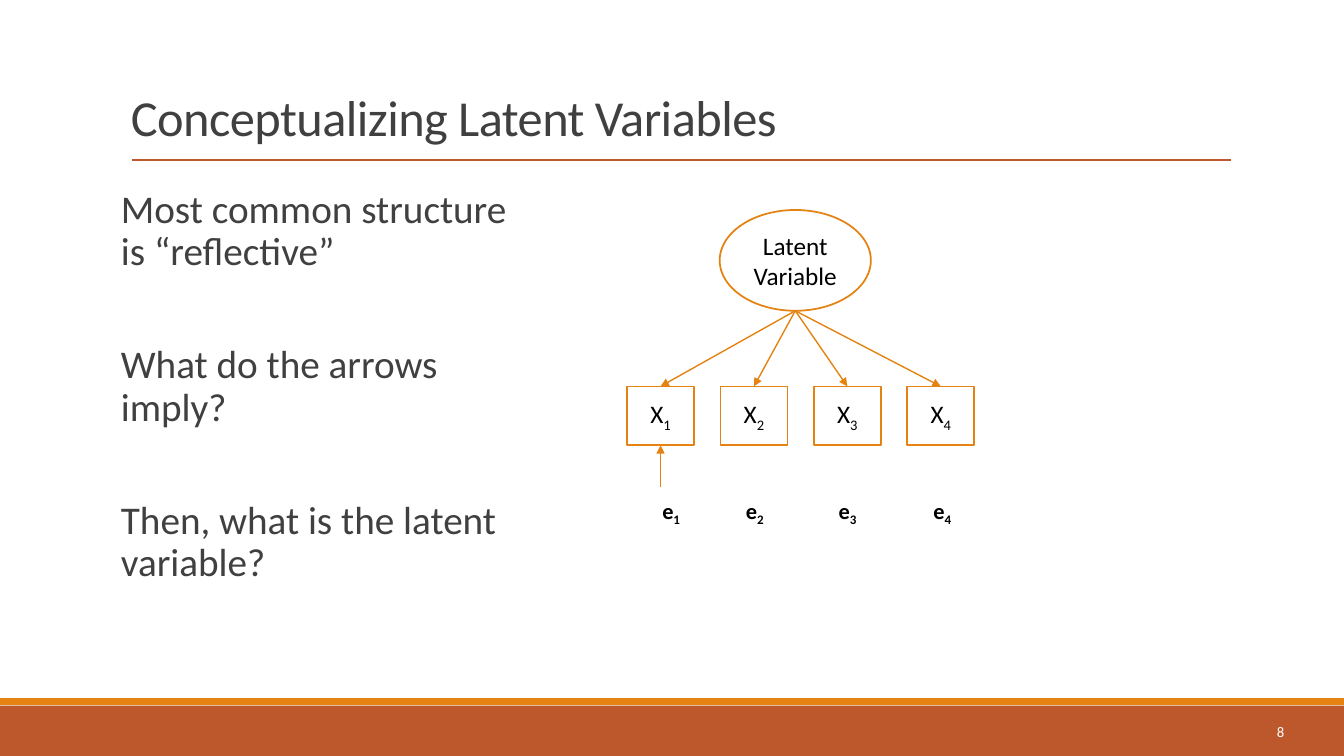
from dataclasses import dataclass

from lxml import etree
from pptx import Presentation
from pptx import util as u
from pptx.dml.color import RGBColor
from pptx.enum import shapes, text
from pptx.oxml.ns import qn

COLORS = {
    "rust": "BD582C",
    "orange": "E48312",
    "gray": "404040",
    "black": "000000",
    "white": "FFFFFF",
}
FONT = "Calibri"
CELL = u.Inches(1 / 12)
COLUMNS, ROWS = 160, 90
KIND = shapes.MSO_SHAPE
ALIGN = text.PP_ALIGN
ANCHOR = text.MSO_ANCHOR


@dataclass(frozen=True)
class Area:
    col: float
    row: float
    cols: float
    rows: float

    def emu(self) -> list[u.Emu]:
        return [cells(n) for n in (self.col, self.row, self.cols, self.rows)]


@dataclass(frozen=True)
class Node:
    label: str
    area: Area
    kind: shapes.MSO_SHAPE


def cells(count: float) -> u.Emu:
    return u.Emu(round(count * CELL))


def color(name: str) -> RGBColor:
    return RGBColor.from_string(COLORS[name])


def write(box, content: str, *, size: float, ink: str = "black", bold: bool = False,
          align=ALIGN.LEFT, anchor=ANCHOR.TOP, side_inset: float = 0.1,
          leading: float = 1, before: float = 0, after: float = 0,
          tracking: float = 0, stops: tuple[float, ...] = ()) -> None:
    frame = box.text_frame
    frame.word_wrap = True
    frame.vertical_anchor = anchor
    frame.margin_left = frame.margin_right = u.Inches(side_inset)
    for index, line in enumerate(content.split("\n")):
        para = frame.add_paragraph() if index else frame.paragraphs[0]
        if stops:
            tabs = etree.SubElement(para._p.get_or_add_pPr(), qn("a:tabLst"))
            for stop in stops:
                etree.SubElement(tabs, qn("a:tab"), pos=str(cells(stop)), algn="ctr")
        para.alignment = align
        para.line_spacing = leading
        para.space_before = u.Pt(before if index else 0)
        para.space_after = u.Pt(after)
        first, *rest = line.split("_")
        pieces = [(first, False)]
        for part in rest:
            pieces += [(part[0], True), (part[1:], False)]
        for piece, subscript in pieces:
            if not piece:
                continue
            span = para.add_run()
            span.text = piece
            span.font.name = FONT
            span.font.size = u.Pt(size)
            span.font.bold = bold
            span.font.color.rgb = color(ink)
            if subscript:
                span._r.get_or_add_rPr().set("baseline", "-25000")
            if tracking:
                span._r.get_or_add_rPr().set("spc", str(round(tracking * 100)))


def add_text(page, area: Area, content: str, **style) -> None:
    write(page.shapes.add_textbox(*area.emu()), content, **style)


def add_shape(page, kind, area: Area, fill: str, line: str | None = None):
    box = page.shapes.add_shape(kind, *area.emu())
    box.shadow.inherit = False
    box.fill.solid()
    box.fill.fore_color.rgb = color(fill)
    if line:
        box.line.color.rgb = color(line)
        box.line.width = u.Pt(1.25)
    else:
        box.line.fill.background()
    return box


def add_node(page, node: Node):
    box = add_shape(page, node.kind, node.area, "white", "orange")
    write(box, node.label, size=18, align=ALIGN.CENTER, anchor=ANCHOR.MIDDLE)
    return box


def add_line(page, start: tuple[float, float], end: tuple[float, float],
             ink: str, width: float, arrow: bool = False):
    points = [cells(n) for n in (*start, *end)]
    line = page.shapes.add_connector(shapes.MSO_CONNECTOR.STRAIGHT, *points)
    line.line.color.rgb = color(ink)
    line.line.width = u.Pt(width)
    if arrow:
        etree.SubElement(line.line._get_or_add_ln(), qn("a:tailEnd"), type="triangle")
    etree.SubElement(line._element.spPr, qn("a:effectLst"))
    return line


def draw_frame(page) -> None:
    add_shape(page, KIND.RECTANGLE, Area(0, 84, COLUMNS, 6), "rust")
    add_shape(page, KIND.RECTANGLE, Area(0, 83.12, COLUMNS, 0.84), "orange")
    add_line(page, (15.72, 19.08), (146.52, 19.08), "rust", 1.5)
    add_text(page, Area(14.4, 3.72, 132, 14.4), "Conceptualizing Latent Variables",
             size=36, ink="gray", anchor=ANCHOR.BOTTOM, leading=0.85, tracking=-0.4)
    add_text(page, Area(136.92, 84.72, 17.16, 4.8), "8", size=10.5, ink="white",
             align=ALIGN.RIGHT, anchor=ANCHOR.MIDDLE)


def draw_questions(page) -> None:
    questions = (
        "Most common structure is “reflective”",
        "What do the arrows imply?",
        "Then, what is the latent variable?",
    )
    add_text(page, Area(14.4, 21.96, 47.64, 58.56), "\n".join(questions), size=28,
             ink="gray", side_inset=0, leading=0.9, before=49, after=1.5)


def draw_model(page) -> None:
    latent = Node("Latent Variable", Area(85.68, 25, 18, 12), KIND.OVAL)
    indicators = [
        Node(f"X_{i + 1}", Area(74.64 + 11.12 * i, 46, 8, 7), KIND.RECTANGLE)
        for i in range(4)
    ]
    add_node(page, latent)
    boxes = [add_node(page, node) for node in indicators]
    source = (latent.area.col + latent.area.cols / 2, latent.area.row + latent.area.rows)
    for node, box in zip(indicators, boxes):
        target = (node.area.col + node.area.cols / 2, node.area.row)
        add_line(page, source, target, "orange", 1, arrow=True).end_connect(box, 0)
    add_text(page, Area(60, 58.56, 72.12, 4.44),
             "".join(f"\te_{i + 1}" for i in range(4)),
             size=16, bold=True, stops=(18.72, 28.68, 39.72, 51))
    error_arrow = add_line(page, (78.64, 58), (78.64, 53), "orange", 1, arrow=True)
    error_arrow.end_connect(boxes[0], 2)


def main() -> None:
    deck = Presentation()
    deck.slide_width = cells(COLUMNS)
    deck.slide_height = cells(ROWS)
    page = deck.slides.add_slide(deck.slide_layouts[6])
    draw_frame(page)
    draw_questions(page)
    draw_model(page)
    deck.save("out.pptx")


if __name__ == "__main__":
    main()
